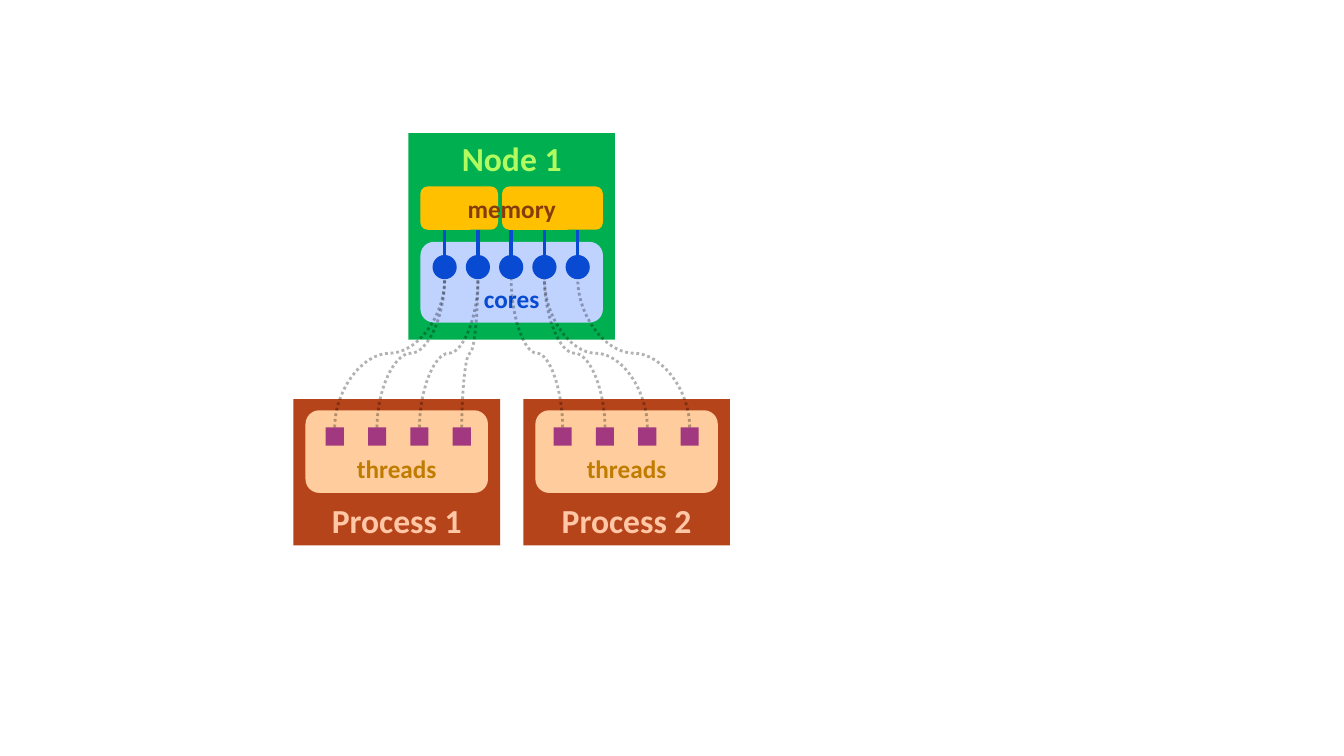
"""Draw a node whose cores run the threads of two processes."""
from pptx import Presentation
from pptx.dml.color import RGBColor
from pptx.enum.dml import MSO_LINE
from pptx.enum.shapes import MSO_CONNECTOR, MSO_SHAPE
from pptx.enum.text import MSO_ANCHOR, PP_ALIGN
from pptx.oxml.ns import qn
from pptx.util import Inches, Pt
from lxml.etree import SubElement

COLORS = {
    "node": "00B050", "title": "B1FB61", "panel": "C0D3FF", "core": "084AD2",
    "memory": "FFC000", "label": "843C0B", "process": "B6441B", "name": "FFC7A5",
    "group": "FFCD9D", "threads": "BF7C00", "thread": "A23980", "link": "000000",
}

deck = Presentation()
deck.slide_width, deck.slide_height = Inches(13.33), Inches(7.5)
shapes = deck.slides.add_slide(deck.slide_layouts[6]).shapes


def add_box(kind, x, y, w, h, fill, text="", size=18, color=None, anchor=MSO_ANCHOR.BOTTOM):
    box = shapes.add_shape(kind, Inches(x), Inches(y), Inches(w), Inches(h))
    box.shadow.inherit = False
    box.line.fill.background()
    if fill:
        box.fill.solid()
        box.fill.fore_color.rgb = RGBColor.from_string(COLORS[fill])
    else:
        box.fill.background()
    if text:
        frame = box.text_frame
        frame.vertical_anchor = anchor
        para = frame.paragraphs[0]
        para.text = text
        para.alignment = PP_ALIGN.CENTER
        para.font.name = "Calibri"
        para.font.size = Pt(size)
        para.font.bold = True
        para.font.color.rgb = RGBColor.from_string(COLORS[color])


def add_link(kind, x1, y1, x2, y2, color, width):
    link = shapes.add_connector(kind, Inches(x1), Inches(y1), Inches(x2), Inches(y2))
    link.line.color.rgb = RGBColor.from_string(COLORS[color])
    link.line.width = Pt(width)
    SubElement(link._element.spPr, qn("a:effectLst"))
    return link


RECT, ROUND, OVAL = MSO_SHAPE.RECTANGLE, MSO_SHAPE.ROUNDED_RECTANGLE, MSO_SHAPE.OVAL
cores = [4.41 + 0.33 * i for i in range(5)]
core_top, core_size = 2.53, 0.24
core_end = core_top + core_size
thread_top, thread_size, pitch = 4.24, 0.18, 0.42

add_box(RECT, 4.05, 1.32, 2.05, 2.05, "node", "Node 1", 24, "title", MSO_ANCHOR.TOP)
add_box(ROUND, 4.17, 2.4, 1.81, 0.8, "panel", "cores", 18, "core")
for x in cores:
    add_box(OVAL, x - core_size / 2, core_top, core_size, core_size, "core")
    add_link(MSO_CONNECTOR.STRAIGHT, x, core_top, x, 2.28, "core", 2.5)

for x, w in ((4.98, 1), (4.17, 0.77)):
    add_box(ROUND, x, 1.85, w, 0.43, "memory")
add_box(RECT, 4.17, 1.85, 1.81, 0.43, None, "memory", 18, "label", MSO_ANCHOR.MIDDLE)

processes = [
    ("Process 1", 2.91, 3.32, (0, 0, 1, 1)),
    ("Process 2", 5.19, 5.58, (2, 3, 3, 4)),
]
for name, left, first, targets in processes:
    add_box(RECT, left, 3.96, 2.05, 1.45, "process", name, 24, "name")
    add_box(ROUND, left + 0.12, 4.07, 1.81, 0.82, "group", "threads", 18, "threads")
    for i, target in enumerate(targets):
        x, core = first + pitch * i, cores[target]
        add_box(RECT, x - thread_size / 2, thread_top, thread_size, thread_size, "thread")

        side = 1 if x < core else -1
        mid_x, mid_y = (x + core) / 2, (thread_top + core_end) / 2
        run = side * (thread_top - core_end) / 2
        rise = side * (core - x) / 2
        curve = add_link(MSO_CONNECTOR.CURVE, mid_x + run, mid_y + rise,
                         mid_x - run, mid_y - rise, "link", 2)
        curve.line.dash_style = MSO_LINE.ROUND_DOT
        props = curve._element.spPr
        props.find(qn("a:xfrm")).set("rot", str(side * 90 % 360 * 60000))
        shade = props.find(".//" + qn("a:srgbClr"))
        SubElement(shade, qn("a:alpha")).set("val", "29000")

deck.save("out.pptx")
